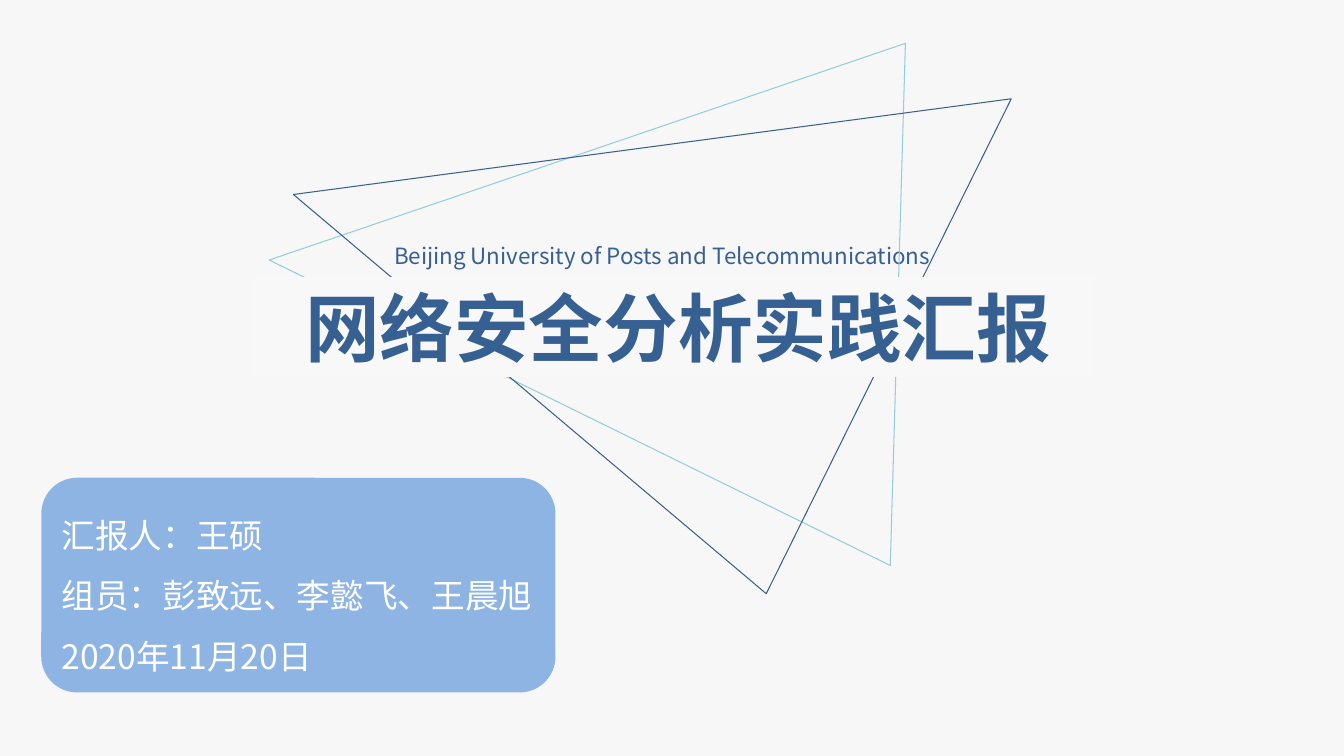
from pptx import Presentation
from pptx.dml.color import RGBColor as RGB
from pptx.enum.shapes import MSO_SHAPE as SHAPE
from pptx.enum.text import MSO_ANCHOR as ANCHOR, PP_ALIGN as ALIGN
from pptx.oxml.ns import qn
from pptx.util import Inches, Pt
from lxml.etree import SubElement

COLORS = {
    "background": "F7F7F7",
    "band": "F8F8F8",
    "navy": "376092",
    "aqua": "93CDDD",
    "card": "8EB4E3",
    "white": "FFFFFF",
}


class TitleSlide:
    font = "Noto Sans CJK SC"

    def __init__(self, prs):
        self.slide = prs.slides.add_slide(prs.slide_layouts[6])
        self.shapes = self.slide.shapes
        fill = self.slide.background.fill
        fill.solid()
        fill.fore_color.rgb = self.color("background")

    def color(self, name):
        return RGB.from_string(COLORS[name])

    def set_lines(self, tf, lines, size, color, align=ALIGN.LEFT, bold=False, spacing=None):
        tf.text = "\n".join(lines)
        for p in tf.paragraphs:
            p.alignment = align
            p.line_spacing = spacing
            for r in p.runs:
                r.font.size = Pt(size)
                r.font.bold = bold
                r.font.name = self.font
                r.font.color.rgb = self.color(color)
                SubElement(r.font._element, qn("a:ea")).set("typeface", self.font)

    def text(self, box, line, size, color, wrap=True, **style):
        sp = self.shapes.add_textbox(*map(Inches, box))
        tf = sp.text_frame
        tf.word_wrap = wrap
        tf.margin_left = tf.margin_right = Inches(0.13)
        tf.margin_top = tf.margin_bottom = Inches(0.07)
        self.set_lines(tf, [line], size, color, **style)

    def panel(self, kind, box, color):
        sp = self.shapes.add_shape(kind, *map(Inches, box))
        sp.shadow.inherit = False
        sp.fill.solid()
        sp.fill.fore_color.rgb = self.color(color)
        sp.line.fill.background()
        return sp

    def triangle(self, corners, color):
        start, *rest = [(Inches(x), Inches(y)) for x, y in corners]
        builder = self.shapes.build_freeform(*start)
        builder.add_line_segments(rest, close=True)
        sp = builder.convert_to_shape()
        sp.shadow.inherit = False
        sp.fill.background()
        sp.line.color.rgb = self.color(color)
        sp.line.width = Pt(0.75)

    def card(self, box, lines):
        sp = self.panel(SHAPE.ROUNDED_RECTANGLE, box, "card")
        tf = sp.text_frame
        tf.word_wrap = True
        tf.vertical_anchor = ANCHOR.MIDDLE
        self.set_lines(tf, lines, 24, "white", spacing=1.5)


def main():
    prs = Presentation()
    prs.slide_width, prs.slide_height = Inches(13.33), Inches(7.5)
    s = TitleSlide(prs)
    s.text((3.78, 2.33, 5.77, 0.4), "Beijing University of Posts and Telecommunications",
           16, "navy", wrap=False)
    s.triangle([(8.98, 0.43), (2.67, 2.58), (8.83, 5.61)], "aqua")
    s.triangle([(2.91, 1.93), (10.03, 0.98), (7.6, 5.89)], "navy")
    s.card((0.41, 4.74, 5.1, 2.13),
           ["汇报人：王硕", "组员：彭致远、李懿飞、王晨旭", "2020年11月20日"])
    s.panel(SHAPE.RECTANGLE, (2.5, 2.75, 8.34, 0.99), "band")
    s.text((1.63, 2.73, 10.19, 1.03), "网络安全分析实践汇报", 53.3, "navy",
           align=ALIGN.CENTER, bold=True)
    prs.save("out.pptx")


if __name__ == "__main__":
    main()
